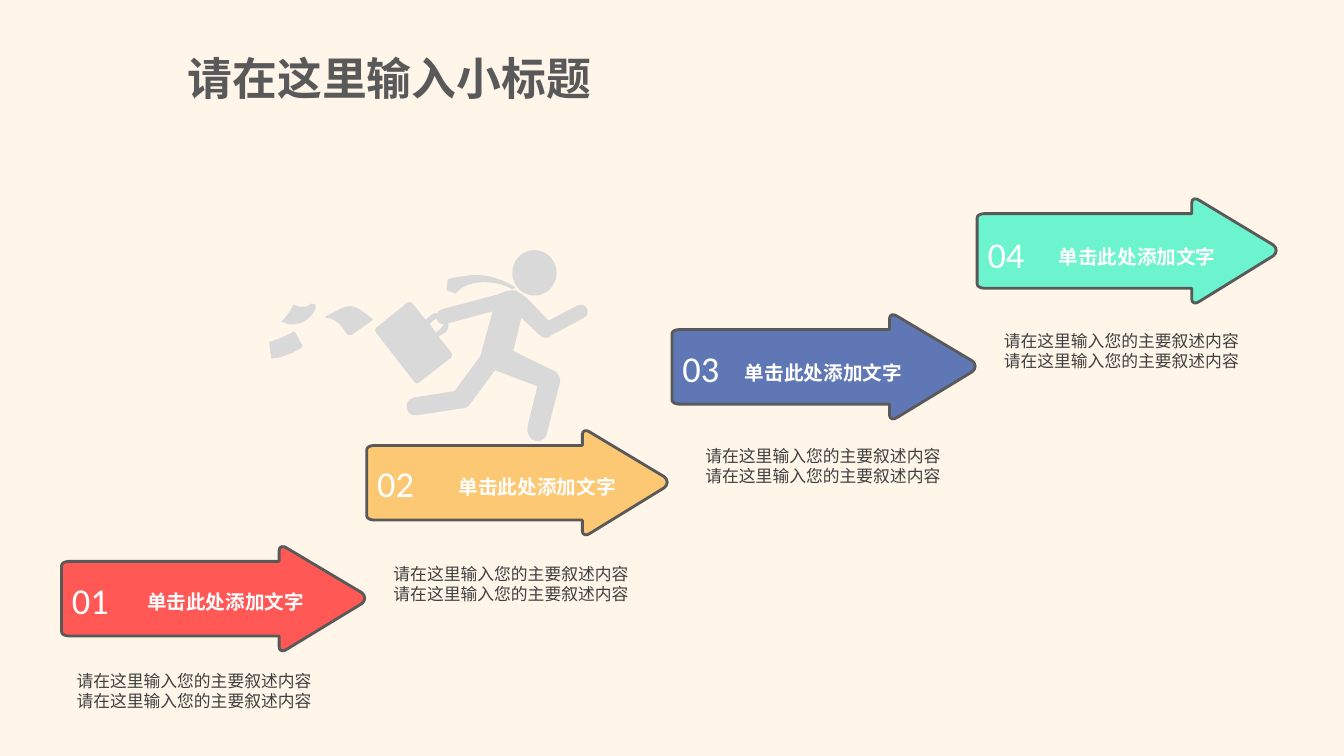
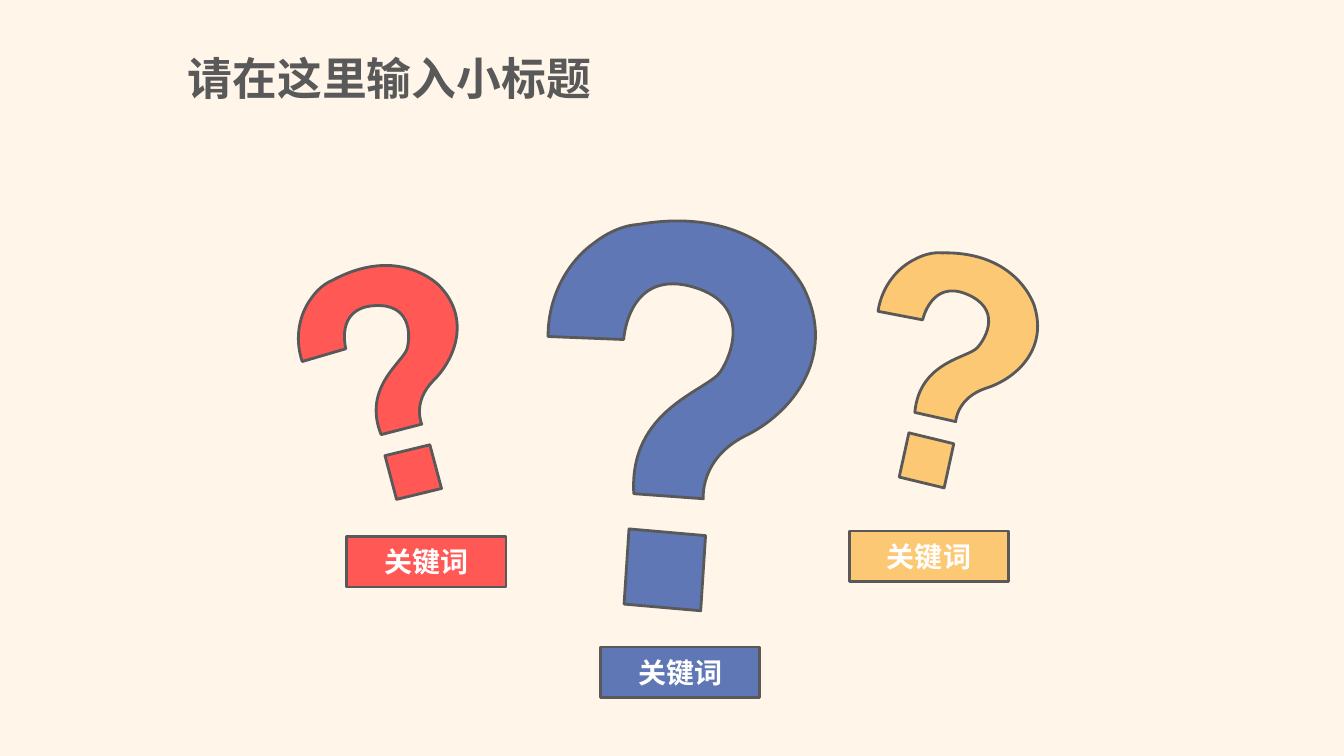
from dataclasses import dataclass
from math import atan2, cos, degrees, hypot, radians, sin

from lxml.etree import SubElement
from pptx import Presentation
from pptx.dml.color import RGBColor as Color
from pptx.enum.shapes import MSO_SHAPE as Preset
from pptx.enum.text import MSO_ANCHOR as Anchor, PP_ALIGN as Align
from pptx.oxml.ns import qn
from pptx.util import Pt


@dataclass(frozen=True)
class Theme:
    """Colours, fonts and type sizes of the deck."""

    paper: str = "FFF5E9"
    ink: str = "595959"
    body: str = "404040"
    white: str = "FFFFFF"
    grey: str = "D9D9D9"
    red: str = "FF5855"
    yellow: str = "FDC873"
    blue: str = "6077B6"
    green: str = "6BF4CD"
    font: str = "Noto Sans CJK SC"
    number_font: str = "Calibri"
    keyword_font: str = "Arial"
    title_size: int = 32
    number_size: int = 26
    keyword_size: int = 20
    label_size: int = 14
    body_size: int = 12
    outline: int = 2


@dataclass(frozen=True)
class Box:
    """A rectangle in points."""

    left: float
    top: float
    width: float
    height: float

    def inner(self, left, top, width, height):
        """Return a box placed relative to this one."""
        return Box(self.left + left, self.top + top, width, height)

    def lengths(self):
        """Return the four lengths for a new shape."""
        return Pt(self.left), Pt(self.top), Pt(self.width), Pt(self.height)


THEME = Theme()

ARROW_GRID = (303, 106)
ARROW = (
    "M 298 47 L 224 3 C 220 0 216 1 216 5 L 216 16 L 7 16 C 3 16 0 18 0 20 "
    "L 0 86 C 0 88 3 90 7 90 L 216 90 L 216 101 C 216 105 220 106 224 103 "
    "L 298 58 C 302 55 302 50 298 47 Z"
)

RUNNER_GRID = 317
RUNNER_HEAD = (241, 0, 44, 45)
RUNNER_LIMBS = (
    ((275, 79), (309, 61), 14),
    ((173, 66), (240, 48), 15),
    ((191, 147), (224, 102), 20),
    ((145, 155), (190, 148), 18),
)
FLYING_PAPERS = (
    "M 57 65 C 60 63 66 61 69 59 C 83 51 90 59 101 67 L 103 69 L 82 84 "
    "C 77 87 74 78 72 76 C 68 71 62 67 55 67 Z",
    "M 5 107 L 2 108 C 2 105 2 103 1 102 C 1 99 0 95 0 91 C 2 90 5 91 6 89 "
    "C 13 87 18 84 24 81 L 26 82 L 33 95 L 32 97 C 26 100 22 103 17 104 "
    "C 13 106 9 107 5 107 Z",
    "M 24 54 C 27 55 29 56 30 56 C 33 56 36 56 37 56 C 39 55 40 54 41 53 "
    "L 46 54 L 46 57 C 44 65 35 72 28 73 C 24 74 19 74 15 72 L 12 71 "
    "C 17 66 21 60 24 54 Z",
)
TORSO = (
    "M 210 103 L 225 48 C 226 42 238 39 245 40 C 248 42 251 44 255 47 "
    "L 280 73 C 284 76 284 81 280 84 C 279 86 277 87 275 87 "
    "C 272 87 271 86 269 85 L 250 67 L 242 100 L 283 120 "
    "C 287 122 290 128 288 133 L 275 183 C 275 185 272 188 269 189 "
    "C 262 190 258 188 256 179 C 256 174 259 163 259 163 L 266 135 "
    "C 266 135 242 126 237 124 C 232 122 220 118 215 115 "
    "C 212 112 209 108 210 103 Z"
)
BRIEFCASE = (
    "M 106 82 C 104 81 105 78 106 77 L 137 52 C 139 51 141 51 142 53 "
    "L 155 69 L 161 64 C 165 61 171 62 173 66 L 176 69 C 179 73 178 78 175 81 "
    "L 168 86 L 181 102 C 182 103 181 106 180 107 L 149 131 "
    "C 148 133 145 132 144 131 Z M 171 77 C 173 76 173 73 172 71 L 169 69 "
    "C 168 67 165 67 164 69 L 159 73 L 165 82 Z"
)
NECKTIE = (
    "M 208 32 C 217 31 233 33 241 39 L 244 37 C 229 27 210 22 192 26 "
    "C 188 26 178 28 177 29 C 177 29 176 37 176 40 L 185 43 "
    "C 190 36 200 33 208 32 Z"
)

MARK_GRID = 288
MARK_HOOK = (
    "M -126.6 50.1 L -56.9 22.2 C -56.9 22.2 -81 -41.5 -19.2 -52.8 "
    "C 42.6 -64 47.5 -11.4 43.8 12.2 C 39.7 34.8 -24.2 83.1 14.7 157.7 "
    "L 79.7 134.1 C 79.7 134.1 60.1 100.2 91.8 60.8 "
    "C 124.8 21.9 144 -48 86.1 -96.6 C 86.1 -96.6 14.4 -158.7 -90.7 -87.6 "
    "C -90.7 -87.6 -108.9 -79.4 -122.6 -53.6 C -137 -29.6 -144.6 9.9 -126.6 50.1 Z"
)
MARK_DOT = "M -49 -22 L -23 48 L 49 23 L 23 -47 Z"
DOT_OFFSET = (73.3, 213.8)


def trace(outline):
    """Yield each command of an outline with its points."""
    tokens = iter(outline.split())
    counts = {"M": 1, "L": 1, "C": 3, "Z": 0}
    for command in tokens:
        yield command, [(float(next(tokens)), float(next(tokens)))
                        for _ in range(counts[command])]


def paint(shape, fill, line=None):
    """Give a shape a flat fill and an optional outline."""
    shape.shadow.inherit = False
    shape.fill.solid()
    shape.fill.fore_color.rgb = Color.from_string(fill)
    if line:
        shape.line.color.rgb = Color.from_string(line)
        shape.line.width = Pt(THEME.outline)
    else:
        shape.line.fill.background()
    return shape


def draw_outline(shapes, outline, origin, scale, fill, line=None):
    """Draw an outline of lines and cubic curves from its origin."""
    commands = list(trace(outline))
    builder = None
    for command, points in commands:
        places = [(Pt(origin[0] + x * scale[0]), Pt(origin[1] + y * scale[1]))
                  for x, y in points]
        if builder is None:
            builder = shapes.build_freeform(*places[0], scale=1.0)
        elif command == "M":
            builder.move_to(*places[0])
        else:
            builder.add_line_segments(places, close=command == "Z")
    shape = builder.convert_to_shape()
    contour = next(shape._element.iter(qn("a:path")))
    segments = iter(list(contour))
    for command, _ in commands:
        segment = next(segments)
        if command == "C":
            segment.tag = qn("a:cubicBezTo")
            for extra in (next(segments), next(segments)):
                segment.append(extra[0])
                contour.remove(extra)
    return paint(shape, fill, line)


def write(frame, text, *, size, color, font=THEME.font, bold=False,
          align=Align.LEFT, anchor=Anchor.TOP, spacing=None, insets=None):
    """Fill a text frame with one paragraph for each line."""
    frame.word_wrap = False
    frame.vertical_anchor = anchor
    if insets is not None:
        frame.margin_left = frame.margin_right = Pt(insets)
        frame.margin_top = frame.margin_bottom = Pt(insets)
    for index, line in enumerate(text.split("\n")):
        para = frame.add_paragraph() if index else frame.paragraphs[0]
        para.alignment = align
        if spacing:
            para.line_spacing = spacing
        span = para.add_run()
        span.text = line
        span.font.size = Pt(size)
        span.font.bold = bold
        span.font.name = font
        span.font.color.rgb = Color.from_string(color)
        east_asian = SubElement(span.font._element, qn("a:ea"))
        east_asian.set("typeface", THEME.font)


def add_text(page, box, text, **style):
    """Add a text box."""
    write(page.shapes.add_textbox(*box.lengths()).text_frame, text, **style)


def add_page(deck, title):
    """Add a blank slide with the shared title."""
    page = deck.slides.add_slide(deck.slide_layouts[6])
    add_text(page, Box(127, 32.4, 306.7, 46), title,
             size=THEME.title_size, color=THEME.ink, bold=True)
    return page


def add_runner(page, box):
    """Draw the running figure with its briefcase and papers."""
    shapes = page.shapes.add_group_shape().shapes
    unit = box.width / RUNNER_GRID
    for outline in (*FLYING_PAPERS, TORSO, BRIEFCASE, NECKTIE):
        draw_outline(shapes, outline, (box.left, box.top), (unit, unit), THEME.grey)
    head = box.inner(*(length * unit for length in RUNNER_HEAD))
    paint(shapes.add_shape(Preset.OVAL, *head.lengths()), THEME.grey)
    for (x1, y1), (x2, y2), thickness in RUNNER_LIMBS:
        length = hypot(x2 - x1, y2 - y1) + thickness
        left, top = (x1 + x2 - length) / 2, (y1 + y2 - thickness) / 2
        limb_box = box.inner(left * unit, top * unit, length * unit, thickness * unit)
        limb = shapes.add_shape(Preset.ROUNDED_RECTANGLE, *limb_box.lengths())
        limb.adjustments[0] = 0.5
        limb.rotation = degrees(atan2(y2 - y1, x2 - x1))
        paint(limb, THEME.grey)


def add_step(page, box, number, fill, number_top, label, body):
    """Draw one numbered arrow with its label and description."""
    scale = (box.width / ARROW_GRID[0], box.height / ARROW_GRID[1])
    draw_outline(page.shapes, ARROW, (box.left, box.top), scale, fill, THEME.ink)
    add_text(page, box.inner(7.4, number_top, 27.4, 31.7), f"{number:02}", insets=0,
             size=THEME.number_size, color=THEME.white, font=THEME.number_font)
    add_text(page, box.inner(*label, 127.4, 27.4), "单击此处添加文字",
             size=THEME.label_size, color=THEME.white, bold=True, spacing=1.3)
    add_text(page, box.inner(*body, 184.3, 74.9),
             "\n".join(["请在这里输入您的主要叙述内容"] * 2),
             size=THEME.body_size, color=THEME.body)


def add_question(page, box, fill, turn):
    """Draw a question mark turned about the centre of its hook."""
    unit = box.width / MARK_GRID
    center = (box.left + box.width / 2, box.top + box.height / 2)
    angle = radians(turn)
    x, y = (length * unit for length in DOT_OFFSET)
    dot_center = (center[0] + x * cos(angle) - y * sin(angle),
                  center[1] + x * sin(angle) + y * cos(angle))
    for outline, origin in ((MARK_DOT, dot_center), (MARK_HOOK, center)):
        part = draw_outline(page.shapes, outline, origin, (unit, unit), fill, THEME.ink)
        part.rotation = turn


def add_keyword(page, box, fill):
    """Draw a keyword plate."""
    plate = paint(page.shapes.add_shape(Preset.RECTANGLE, *box.lengths()), fill, THEME.ink)
    write(plate.text_frame, "关键词", size=THEME.keyword_size, color=THEME.white,
          font=THEME.keyword_font, bold=True, align=Align.CENTER,
          anchor=Anchor.MIDDLE, insets=0)


def build_steps(deck, title):
    """Build the slide of rising arrows."""
    page = add_page(deck, title)
    add_runner(page, Box(192.4, 178.7, 228.2, 136.8))
    steps = (
        (THEME.red, 218, 23.5, (54, 23.1), (3.6, 86)),
        (THEME.yellow, 216, 22.5, (58.5, 23.8), (12, 92.5)),
        (THEME.blue, 218, 23, (45, 25.2), (16.8, 91)),
        (THEME.green, 215, 24.5, (51, 25.2), (12, 91.4)),
    )
    for index, (fill, width, *places) in enumerate(steps):
        box = Box(44 + 218 * index, 389.5 - 82.8 * index, width, 76.3)
        add_step(page, box, index + 1, fill, *places)


def build_questions(deck, title):
    """Build the slide of question marks with keywords."""
    page = add_page(deck, title)
    questions = (
        (THEME.red, Box(210.2, 173.5, 124.6, 136.8), 5.5, (247.7, 383)),
        (THEME.blue, Box(385.9, 130.5, 207.4, 228.2), 24.1, (428.9, 462.2)),
        (THEME.yellow, Box(622.8, 165.3, 124.6, 136.8), 32.7, (606.7, 379.3)),
    )
    for fill, box, turn, (left, top) in questions:
        add_question(page, box, fill, turn)
        add_keyword(page, Box(left, top, 113.8, 36.3), fill)


def main():
    """Build and save the deck."""
    deck = Presentation()
    deck.slide_width, deck.slide_height = Pt(960), Pt(540)
    background = deck.slide_master.background.fill
    background.solid()
    background.fore_color.rgb = Color.from_string(THEME.paper)
    for build in (build_steps, build_questions):
        build(deck, "请在这里输入小标题")
    deck.save("out.pptx")


if __name__ == "__main__":
    main()
